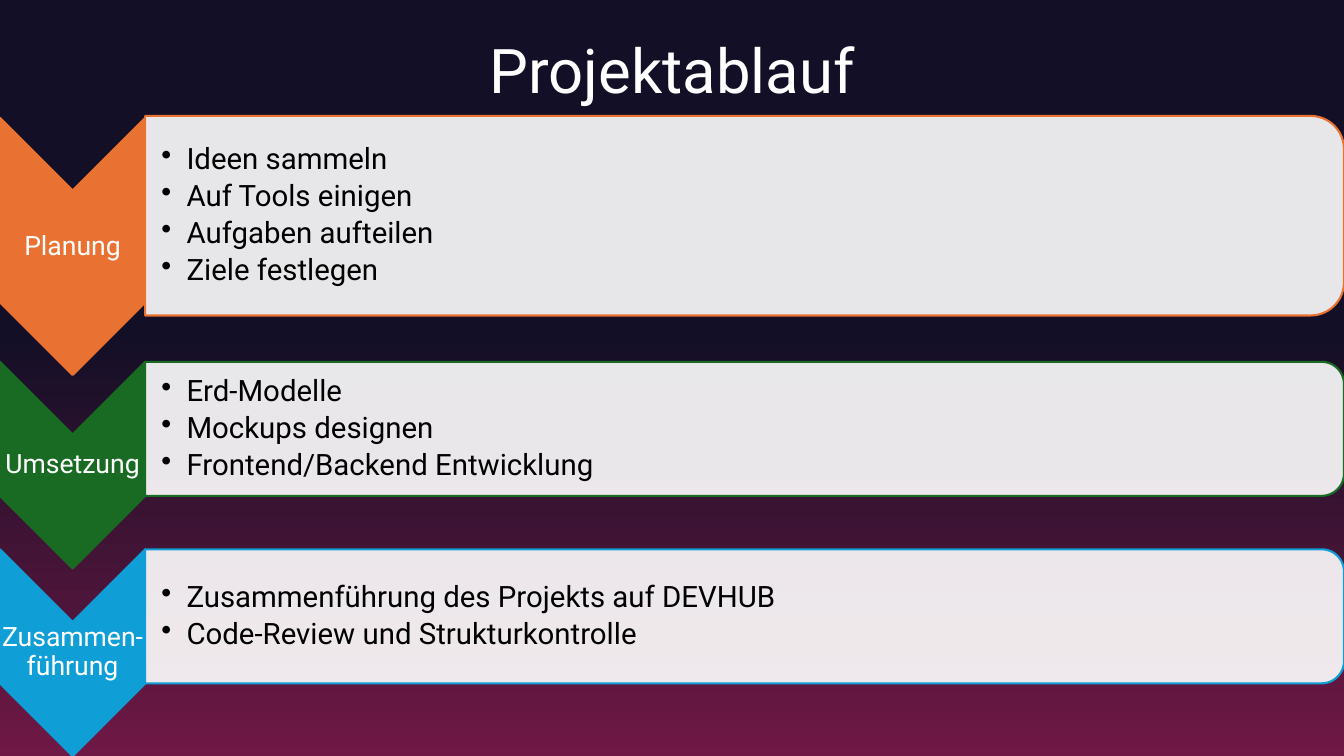
from lxml.etree import SubElement as Sub
from pptx import Presentation
from pptx.dml.color import RGBColor
from pptx.enum.shapes import MSO_SHAPE as Shape
from pptx.enum.text import MSO_ANCHOR as Anchor, PP_ALIGN as Align
from pptx.oxml.ns import qn
from pptx.util import Inches, Pt

WIDE, HIGH = 13.33, 7.5
ARROW = 1.44
STEPS = [
    (1.17, 2.55, 1.15, 1.98, "E97132", "Planung",
     ["Ideen sammeln", "Auf Tools einigen", "Aufgaben aufteilen", "Ziele festlegen"]),
    (3.59, 2.05, 3.59, 1.33, "196B24", "Umsetzung",
     ["Erd-Modelle", "Mockups designen", "Frontend/Backend Entwicklung"]),
    (5.45, 2.05, 5.45, 1.33, "0F9ED5", "Zusammen-führung",
     ["Zusammenführung des Projekts auf DEVHUB", "Code-Review und Strukturkontrolle"]),
]


def color(code):
    """Return the colour for a hex string."""
    return RGBColor.from_string(code)


def style(para, size, code):
    """Set font, size, colour and line spacing of a paragraph."""
    para.font.name = "Roboto"
    para.font.size = Pt(size)
    para.font.color.rgb = color(code)
    para.line_spacing = 0.9


def turned(slide, kind, left, top, wide, high, fill, line):
    """Add a preset turned by 90 degrees that covers the given box."""
    x, y = left + (wide - high) / 2, top + (high - wide) / 2
    shape = slide.shapes.add_shape(kind, Inches(x), Inches(y), Inches(high), Inches(wide))
    shape.rotation = 90
    shape.shadow.inherit = False
    shape.fill.solid()
    shape.fill.fore_color.rgb = color(fill)
    shape.line.color.rgb = color(line)
    shape.line.width = Pt(1.5)
    return shape


def text(slide, left, top, wide, high, lines, size, code, inset=0.01):
    """Add a centred-height text box and return its paragraphs."""
    box = slide.shapes.add_textbox(Inches(left), Inches(top), Inches(wide), Inches(high))
    frame = box.text_frame
    frame.word_wrap = True
    frame.vertical_anchor = Anchor.MIDDLE
    frame.margin_left = Inches(inset)
    frame.margin_right = frame.margin_top = frame.margin_bottom = Inches(0.01)
    frame.text = "\n".join(lines)
    for para in frame.paragraphs:
        style(para, size, code)
    return frame.paragraphs


def arrow(slide, left, top, wide, high, code, label):
    """Draw a downward chevron with its label."""
    turned(slide, Shape.CHEVRON, left, top, wide, high, code, code)
    for para in text(slide, left, top, wide, high, [label], 19, "FFFFFF"):
        para.alignment = Align.CENTER


def panel(slide, left, top, wide, high, code, items):
    """Draw a translucent panel with a bullet list."""
    shape = turned(slide, Shape.ROUND_2_SAME_RECTANGLE, left, top, wide, high, "FFFFFF", code)
    fill = shape.fill._xPr.find(qn("a:solidFill"))
    Sub(fill[0], qn("a:alpha"), val="90000")
    for para in text(slide, left, top, wide, high, items, 21, "000000", 0.16):
        para.space_after = Pt(3.7)
        props = para._p.get_or_add_pPr()
        props.set("marL", str(Inches(0.25)))
        props.set("indent", str(Inches(-0.25)))
        bullet = props.makeelement(qn("a:buChar"), {"char": "•"})
        props.find(qn("a:defRPr")).addprevious(bullet)


def heading(slide, left, top, wide, high, words):
    """Place and format the title."""
    title = slide.shapes.title
    title.left, title.top = Inches(left), Inches(top)
    title.width, title.height = Inches(wide), Inches(high)
    title.text_frame.text = words
    title.text_frame.vertical_anchor = Anchor.MIDDLE
    para = title.text_frame.paragraphs[0]
    para.alignment = Align.CENTER
    style(para, 44, "FFFFFF")


def backdrop(slide):
    """Fill the background with a gradient rising from the bottom."""
    fill = slide.background.fill
    fill.gradient()
    fill.gradient_angle = 90
    for stop, (place, code) in zip(fill.gradient_stops, [(0, "6F1845"), (0.56, "130F26")]):
        stop.position = place
        stop.color.rgb = color(code)


def main():
    """Build and save the slide."""
    deck = Presentation()
    deck.slide_width, deck.slide_height = Inches(WIDE), Inches(HIGH)
    slide = deck.slides.add_slide(deck.slide_layouts[5])
    backdrop(slide)
    heading(slide, 0.92, 0, 11.5, 1.45, "Projektablauf")
    for tip, drop, top, high, code, label, items in STEPS:
        arrow(slide, 0, tip, ARROW, drop, code, label)
        panel(slide, ARROW, top, WIDE - ARROW, high, code, items)
    deck.save("out.pptx")


if __name__ == "__main__":
    main()
